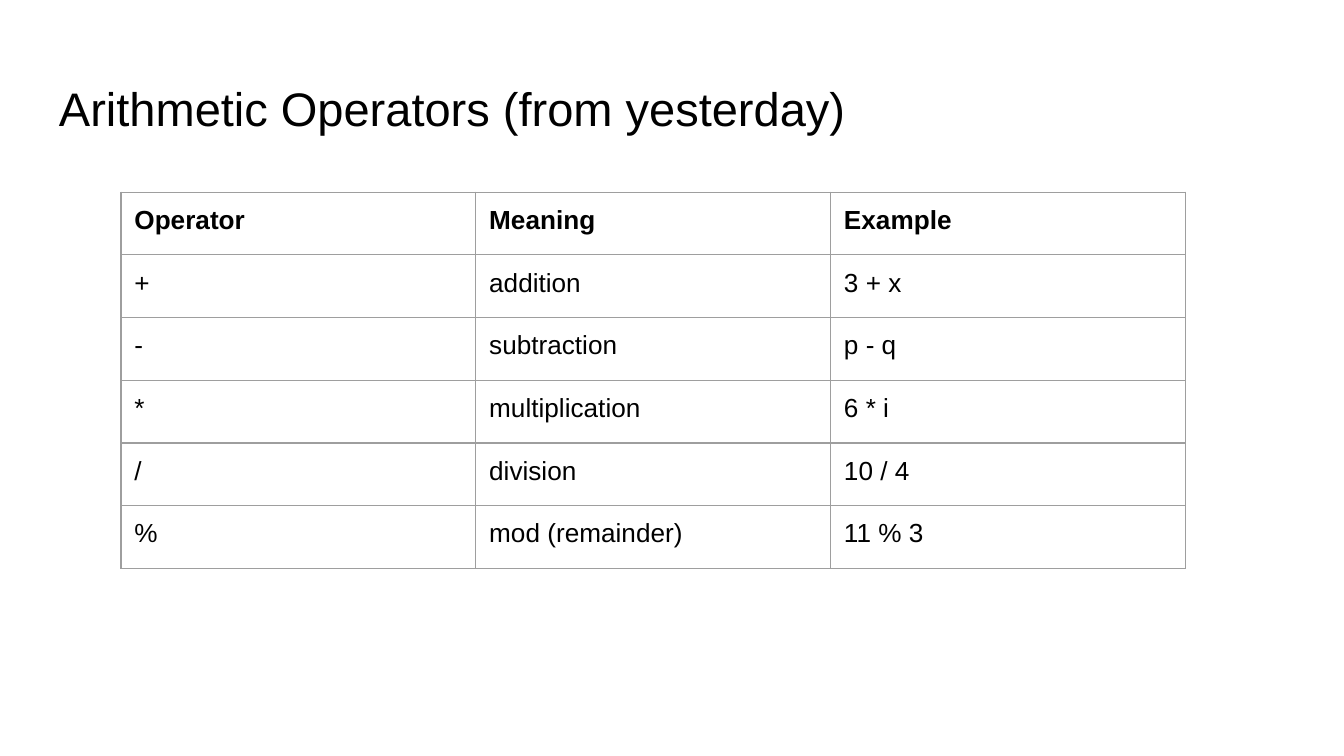
from dataclasses import dataclass

from lxml.etree import SubElement
from pptx import Presentation
from pptx.dml.color import RGBColor
from pptx.enum.text import MSO_ANCHOR as Anchor
from pptx.oxml.ns import qn
from pptx.util import Inches, Pt

TITLE = "Arithmetic Operators (from yesterday)"
HEADINGS = ("Operator", "Meaning", "Example")
OPERATORS = [
    ("+", "addition", "3 + x"),
    ("-", "subtraction", "p - q"),
    ("*", "multiplication", "6 * i"),
    ("/", "division", "10 / 4"),
    ("%", "mod (remainder)", "11 % 3"),
]


@dataclass(frozen=True)
class Theme:
    font: str = "Arial"
    ink: str = "000000"
    border: str = "9E9E9E"
    border_width: float = 0.75
    title_size: float = 25.2
    cell_size: float = 14


THEME = Theme()
SLIDE_WIDTH = Inches(10)
SLIDE_HEIGHT = SLIDE_WIDTH * 9 // 16
PADDING = Inches(0.1)
GRID_WIDTH = Inches(7.92)
GRID_HEIGHT = Inches(2.8)


def write(frame, text, size=THEME.cell_size, bold=False):
    paragraph = frame.paragraphs[0]
    paragraph.text = text
    font = paragraph.runs[0].font
    font.name, font.size, font.bold = THEME.font, Pt(size), bold
    font.color.rgb = RGBColor.from_string(THEME.ink)


def pad(part):
    part.margin_left = part.margin_right = PADDING
    part.margin_top = part.margin_bottom = PADDING
    part.vertical_anchor = Anchor.TOP


def outline(cell):
    properties = cell._tc.get_or_add_tcPr()
    for side in ("a:lnL", "a:lnR", "a:lnT", "a:lnB"):
        line = SubElement(properties, qn(side), w=str(Pt(THEME.border_width)))
        fill = SubElement(line, qn("a:solidFill"))
        SubElement(fill, qn("a:srgbClr"), val=THEME.border)


def add_title(slide):
    title = slide.shapes.add_textbox(Inches(0.34), Inches(0.49), Inches(9.32), Inches(0.63))
    frame = title.text_frame
    frame.word_wrap = True
    pad(frame)
    write(frame, TITLE, size=THEME.title_size)


def add_operators(slide):
    rows = [HEADINGS, *OPERATORS]
    operators = slide.shapes.add_table(
        len(rows), len(HEADINGS), Inches(0.9), Inches(1.43), GRID_WIDTH, GRID_HEIGHT
    ).table
    operators.horz_banding = False
    for r, texts in enumerate(rows):
        for c, text in enumerate(texts):
            cell = operators.cell(r, c)
            pad(cell)
            outline(cell)
            cell.fill.background()
            write(cell.text_frame, text, bold=r == 0)


def main():
    """Build the arithmetic operators slide."""
    deck = Presentation()
    deck.slide_width, deck.slide_height = SLIDE_WIDTH, SLIDE_HEIGHT
    slide = deck.slides.add_slide(deck.slide_layouts[6])
    add_title(slide)
    add_operators(slide)
    deck.save("out.pptx")


if __name__ == "__main__":
    main()
